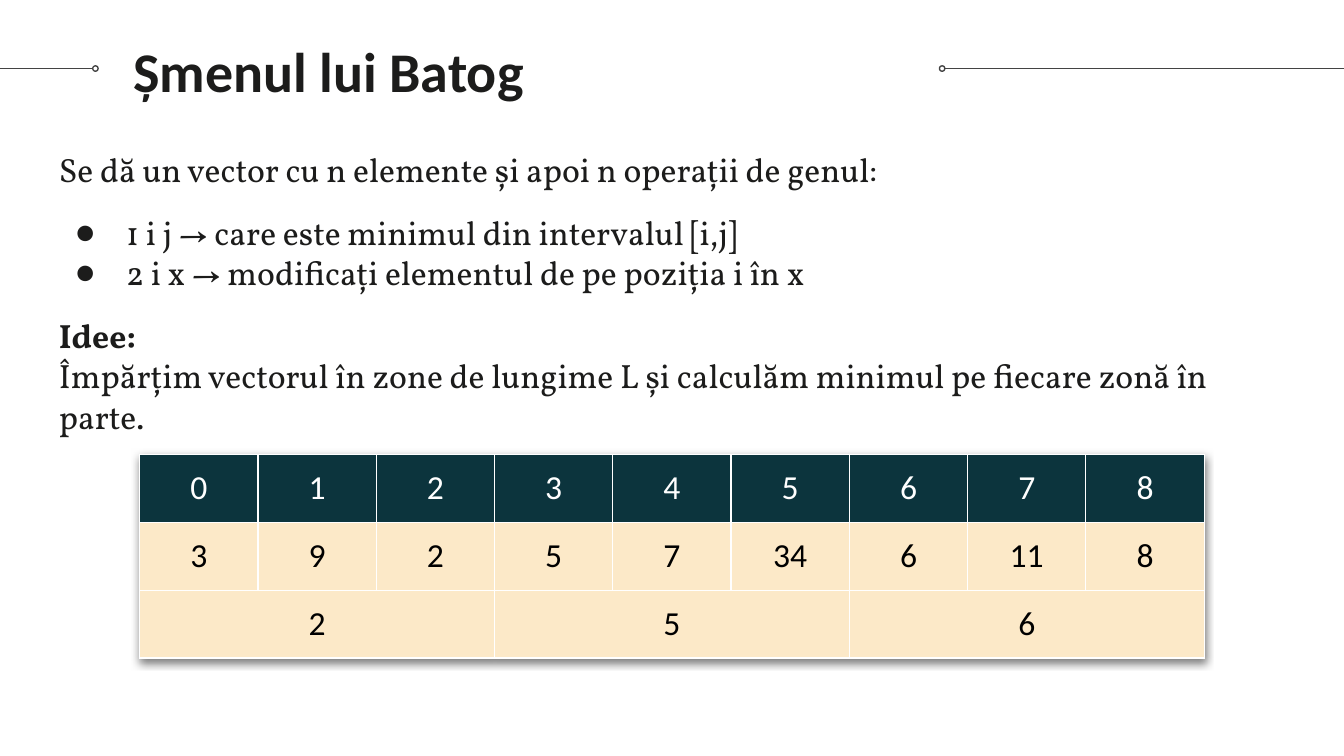
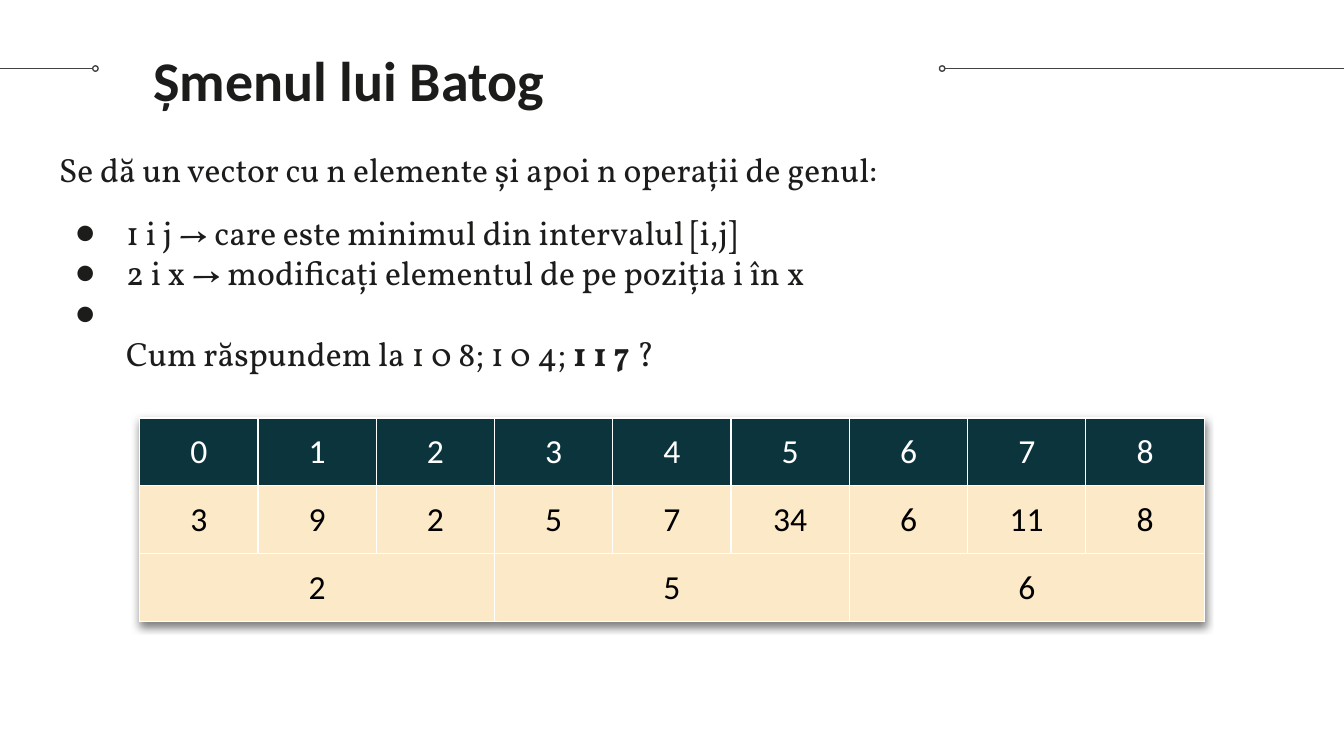
from copy import deepcopy
from dataclasses import dataclass

from lxml import etree
from pptx import Presentation
from pptx.dml.color import RGBColor
from pptx.enum.shapes import MSO_CONNECTOR, MSO_SHAPE
from pptx.enum.text import MSO_ANCHOR, MSO_AUTO_SIZE, PP_ALIGN
from pptx.oxml import parse_xml
from pptx.oxml.ns import nsdecls, qn
from pptx.util import Inches, Pt

STRAIGHT = MSO_CONNECTOR.STRAIGHT
OVAL = MSO_SHAPE.OVAL
LEFT, CENTER = PP_ALIGN.LEFT, PP_ALIGN.CENTER
TOP = MSO_ANCHOR.TOP
NO_AUTOFIT = MSO_AUTO_SIZE.NONE
TITLE_ONLY = 5


@dataclass(frozen=True)
class Theme:
    ink: str = "1C1C1B"
    rule: str = "434343"
    header_fill: str = "0C343D"
    header_text: str = "FFFFFF"
    value_fill: str = "FCE9C8"
    value_text: str = "000000"
    border: str = "FFFFFF"
    heading_font: str = "Calibri"
    body_font: str = "Vollkorn"
    title_size: int = 30
    text_size: int = 18
    line_width: float = 0.75


@dataclass(frozen=True)
class Box:
    left: float
    top: float
    width: float
    height: float

    def lengths(self):
        return [Inches(v) for v in (self.left, self.top, self.width, self.height)]


@dataclass(frozen=True)
class Para:
    """Text spans as (text, bold) pairs, with the paragraph's spacing in points."""
    spans: tuple
    bullet: bool = False
    before: int = 0
    after: int = 0


THEME = Theme()
PAGE = Box(0, 0, 10, 10 * 9 / 16)
BODY = Box(0.34, 1.01, 9.32, 4.24)
RULE_Y = 0.51
RING = 0.04
INSET = 0.1
ZONE_LENGTH = 3
VECTOR = [3, 9, 2, 5, 7, 34, 6, 11, 8]
TITLE = "Șmenul lui Batog"

OPERATIONS = [
    Para((("Se dă un vector cu n elemente și apoi n operații de genul:", False),)),
    Para((("1 i j → care este minimul din intervalul [i,j]", False),), True, before=12),
    Para((("2 i x → modificați elementul de pe poziția i în x", False),), True),
]
IDEA = Para((
    ("Idee:\n", True),
    ("Împărțim vectorul în zone de lungime L și calculăm minimul "
     "pe fiecare zonă în parte.", False),
), before=12, after=12)
QUERIES = Para((
    ("\nCum răspundem la 1 0 8; 1 0 4; ", False),
    ("1 1 7 ", True),
    ("?", False),
), True)


def style_run(run, font, size, color, bold=False):
    run.font.name = font
    run.font.size = Pt(size)
    run.font.bold = bold
    run.font.color.rgb = RGBColor.from_string(color)


def set_frame(frame):
    frame.word_wrap = True
    frame.auto_size = NO_AUTOFIT
    frame.vertical_anchor = TOP
    frame.margin_left = frame.margin_right = Inches(INSET)
    frame.margin_top = frame.margin_bottom = Inches(INSET)


def style_line(line):
    line.color.rgb = RGBColor.from_string(THEME.rule)
    line.width = Pt(THEME.line_width)


def add_side_rule(page, start, end, ring_left):
    """A thin line from one page edge, with a small ring at its inner end."""
    y = Inches(RULE_Y)
    rule = page.shapes.add_connector(STRAIGHT, Inches(start), y, Inches(end), y)
    etree.SubElement(rule._element.spPr, qn("a:effectLst"))
    style_line(rule.line)
    ring_box = Box(ring_left, RULE_Y - RING / 2, RING, RING)
    ring = page.shapes.add_shape(OVAL, *ring_box.lengths())
    ring.shadow.inherit = False
    ring.fill.background()
    style_line(ring.line)


def set_title(page, box):
    title = page.shapes.title
    title.left, title.top, title.width, title.height = box.lengths()
    title.text_frame.text = TITLE
    set_frame(title.text_frame)
    para = title.text_frame.paragraphs[0]
    para.alignment = LEFT
    style_run(para.runs[0], THEME.heading_font, THEME.title_size, THEME.ink, True)


def add_bullet(para):
    properties = para._p.get_or_add_pPr()
    properties.set("marL", str(Inches(0.5)))
    properties.set("indent", str(Inches(-0.38)))
    color = etree.SubElement(properties, qn("a:buClr"))
    etree.SubElement(color, qn("a:srgbClr"), val=THEME.ink)
    etree.SubElement(properties, qn("a:buFont"), typeface=THEME.heading_font)
    etree.SubElement(properties, qn("a:buChar"), char="●")


def fill_para(para, content):
    if content.bullet:
        add_bullet(para)
    para.space_before = Pt(content.before)
    para.space_after = Pt(content.after)
    for text, bold in content.spans:
        for index, piece in enumerate(text.split("\n")):
            if index:
                para.add_line_break()
            if piece:
                run = para.add_run()
                run.text = piece
                style_run(run, THEME.body_font, THEME.text_size, THEME.ink, bold)
    for line_break in para._p.findall(qn("a:br")):
        line_break.append(deepcopy(para.runs[0]._r.rPr))


def add_body(page, box, contents):
    frame = page.shapes.add_textbox(*box.lengths()).text_frame
    set_frame(frame)
    for index, content in enumerate(contents):
        para = frame.add_paragraph() if index else frame.paragraphs[0]
        fill_para(para, content)


def format_cell(cell, fill, color):
    properties = cell._tc.get_or_add_tcPr()
    for side in ("lnL", "lnR", "lnT", "lnB"):
        border = etree.SubElement(properties, qn(f"a:{side}"),
                                  w=str(Pt(THEME.line_width)))
        paint = etree.SubElement(border, qn("a:solidFill"))
        etree.SubElement(paint, qn("a:srgbClr"), val=THEME.border)
    cell.fill.solid()
    cell.fill.fore_color.rgb = RGBColor.from_string(fill)
    cell.margin_left = cell.margin_right = Inches(INSET)
    cell.margin_top = cell.margin_bottom = Inches(INSET)
    para = cell.text_frame.paragraphs[0]
    para.alignment = CENTER
    for run in para.runs:
        style_run(run, THEME.heading_font, THEME.text_size, color)


def add_table_shadow(table):
    table._tbl.tblPr.insert(0, parse_xml(
        f'<a:effectLst {nsdecls("a")}>'
        '<a:outerShdw blurRad="57150" dist="19050" dir="5400000" algn="bl" '
        'rotWithShape="0"><a:srgbClr val="000000"><a:alpha val="50000"/>'
        '</a:srgbClr></a:outerShdw></a:effectLst>'))


def add_zone_table(page, box):
    """Indices, the vector's values, and the minimum of each zone."""
    count = len(VECTOR)
    table = page.shapes.add_table(3, count, *box.lengths()).table
    table.first_row = table.horz_banding = False
    add_table_shadow(table)
    for column in table.columns:
        column.width = Inches(box.width / count)
    for row in table.rows:
        row.height = Inches(box.height / 3)
    for column, value in enumerate(VECTOR):
        table.cell(0, column).text_frame.text = str(column)
        table.cell(1, column).text_frame.text = str(value)
    for start in range(0, count, ZONE_LENGTH):
        end = start + ZONE_LENGTH
        zone = table.cell(2, start)
        zone.merge(table.cell(2, end - 1))
        zone.text_frame.text = str(min(VECTOR[start:end]))
    header = (THEME.header_fill, THEME.header_text)
    values = (THEME.value_fill, THEME.value_text)
    for row, colors in enumerate((header, values, values)):
        for column in range(count):
            format_cell(table.cell(row, column), *colors)


def add_vector_page(deck, title_box, contents, table_top):
    page = deck.slides.add_slide(deck.slide_layouts[TITLE_ONLY])
    add_side_rule(page, 0, 0.69, 0.69)
    add_side_rule(page, 7.03, PAGE.width, 6.99)
    set_title(page, title_box)
    add_body(page, BODY, contents)
    add_zone_table(page, Box(1.04, table_top, 7.92, 1.5))


def main():
    deck = Presentation()
    deck.slide_width, deck.slide_height = Inches(PAGE.width), Inches(PAGE.height)
    add_vector_page(deck, Box(0.89, 0.17, 9.32, 0.77), OPERATIONS + [IDEA], 3.38)
    add_vector_page(deck, Box(1.04, 0.24, 9.32, 0.77), OPERATIONS + [QUERIES], 3.11)
    deck.save("out.pptx")


if __name__ == "__main__":
    main()
